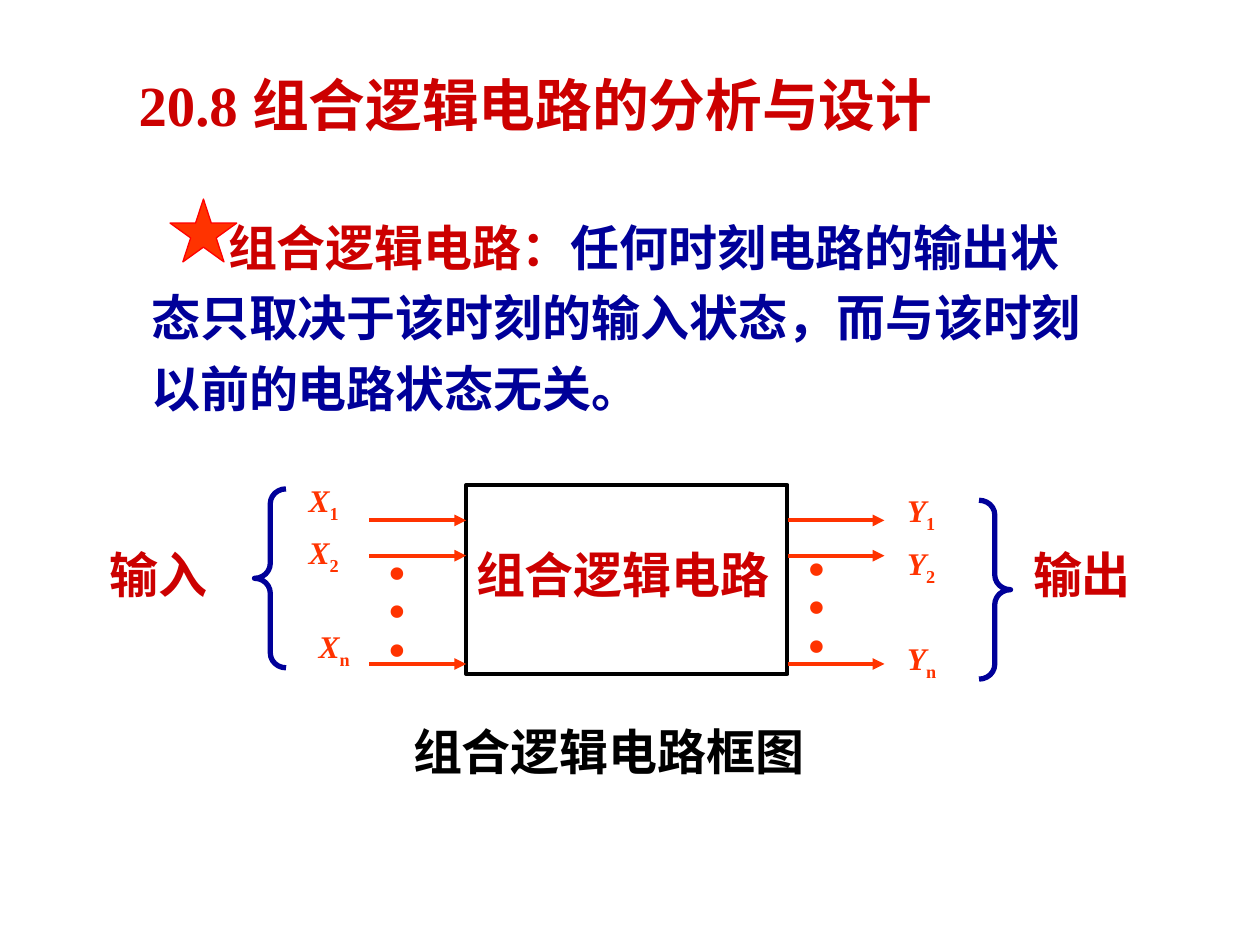
import pptx
import pptx.dml.color
import pptx.enum.dml
import pptx.enum.shapes
import pptx.enum.text
import pptx.oxml
import pptx.oxml.ns
import pptx.util

COLORS = {"red": "CC0000", "navy": "000099", "signal": "FF3300",
          "star_edge": "FF0000", "black": "000000"}
LATIN, CJK = "Times New Roman", "Noto Sans CJK JP"
SHAPES = pptx.enum.shapes.MSO_SHAPE
TEXT = pptx.enum.text

deck = pptx.Presentation()
deck.slide_width = pptx.util.Inches(10)
deck.slide_height = pptx.util.Inches(7.5)
# The slide is a grid of 100 columns by 75 rows.
COL, ROW = deck.slide_width / 100, deck.slide_height / 75
slide = deck.slides.add_slide(deck.slide_layouts[1])


def grid(col, row, cols, rows):
    return [round(col * COL), round(row * ROW), round(cols * COL), round(rows * ROW)]


def write(holder, pieces, size, wrap=False):
    """Fill a text holder with (text, colour, italic, baseline) pieces."""
    frame = holder.text_frame
    frame.word_wrap = wrap
    frame.auto_size = TEXT.MSO_AUTO_SIZE.NONE
    frame.vertical_anchor = TEXT.MSO_ANCHOR.TOP
    paragraph = frame.paragraphs[0]
    paragraph.alignment = TEXT.PP_ALIGN.LEFT
    paragraph.space_before = pptx.util.Pt(0)
    for words, color, italic, baseline in pieces:
        run = paragraph.add_run()
        run.text = words
        run.font.size = pptx.util.Pt(size)
        run.font.bold = True
        run.font.italic = italic
        run.font.color.rgb = pptx.dml.color.RGBColor.from_string(COLORS[color])
        run.font.name = LATIN
        east_asian = pptx.oxml.parse_xml(
            f'<a:ea {pptx.oxml.ns.nsdecls("a")} typeface="{CJK}"/>')
        run.font._element.find(pptx.oxml.ns.qn("a:latin")).addnext(east_asian)
        if baseline:
            run.font._element.set("baseline", str(baseline))
    return paragraph


# Heading and definition
heading, definition = slide.shapes.title, slide.placeholders[1]
heading.left, heading.top, heading.width, heading.height = grid(10, 5, 80, 5)
write(heading, [("20.8 ", "red", False, 0),
                ("组合逻辑电路的分析与设计", "red", False, 0)], 32.4, wrap=True)

definition.left, definition.top, definition.width, definition.height = grid(11, 15.8, 77.5, 17.8)
sentence = write(definition, [
    ("组合逻辑电路：", "red", False, 0),
    ("任何时刻电路的输出状态只取决于该时刻的输入状态，而与该时刻以前的电路状态无关。",
     "navy", False, 0)], 28, wrap=True)
sentence.line_spacing = 1.2
indents = sentence._p.get_or_add_pPr()
indents.set("marL", "0")
indents.set("indent", str(round(6.1 * COL)))
indents.append(pptx.oxml.parse_xml(f'<a:buNone {pptx.oxml.ns.nsdecls("a")}/>'))

# Star, circuit block and braces
outlines = [
    (SHAPES.STAR_5_POINT, (13.5, 15.8, 5.3, 5), "signal", "star_edge", 0.75),
    (SHAPES.RECTANGLE, (37, 38.5, 25.5, 15), None, "black", 2.25),
    (SHAPES.LEFT_BRACE, (20.2, 38.8, 2.5, 14.2), None, "navy", 3),
    (SHAPES.RIGHT_BRACE, (77.7, 39.7, 2.5, 14.2), None, "navy", 3),
]
for preset, place, fill, edge, weight in outlines:
    outline = slide.shapes.add_shape(preset, *grid(*place))
    outline.shadow.inherit = False
    if fill:
        outline.fill.solid()
        outline.fill.fore_color.rgb = pptx.dml.color.RGBColor.from_string(COLORS[fill])
    else:
        outline.fill.background()
    outline.line.color.rgb = pptx.dml.color.RGBColor.from_string(COLORS[edge])
    outline.line.width = pptx.util.Pt(weight)
    if preset in (SHAPES.LEFT_BRACE, SHAPES.RIGHT_BRACE):
        outline.adjustments[0] = 0.47

# Signal arrows into and out of the block
for start in (29.3, 62.5):
    for row in (41.3, 44.1, 52.7):
        left, top, length, _ = grid(start, row, 7.7, 0)
        arrow = slide.shapes.add_connector(
            pptx.enum.shapes.MSO_CONNECTOR.STRAIGHT, left, top, left + length, top)
        arrow.line.color.rgb = pptx.dml.color.RGBColor.from_string(COLORS["signal"])
        arrow.line.width = pptx.util.Pt(2.25)
        arrow.line._get_or_add_ln().append(pptx.oxml.parse_xml(
            f'<a:tailEnd {pptx.oxml.ns.nsdecls("a")} type="triangle"/>'))
        arrow._element.spPr.append(pptx.oxml.parse_xml(
            f'<a:effectLst {pptx.oxml.ns.nsdecls("a")}/>'))

# Signal names
signals = [("X", "1", 23.5, 37.7), ("X", "2", 23.5, 41.8), ("X", "n", 24.3, 49.3),
           ("Y", "1", 71, 38.5), ("Y", "2", 71, 42.7), ("Y", "n", 71, 50.2)]
for letter, index, col, row in signals:
    signal = slide.shapes.add_textbox(*grid(col, row, 5.5, 5))
    write(signal, [(letter, "signal", True, 0), (index, "signal", False, -25000)], 18)

# Vertical dots for the signals in between
for place in ((28.7, 44.5, 9.7, 8.3), (61, 45.2, 11.7, 8.3)):
    dots = slide.shapes.add_textbox(*grid(*place))
    dots.rotation = 90
    write(dots, [(". . .", "signal", False, 0)], 44, wrap=True)

# Labels and caption
labels = [("输入", "red", (7.7, 42.7, 9.8, 5.7)),
          ("组合逻辑电路", "red", (36.8, 42.7, 25.5, 5.7)),
          ("输出", "red", (81, 42.7, 9.8, 5.7)),
          ("组合逻辑电路框图", "black", (31.8, 56.8, 33.3, 5.7))]
for words, color, place in labels:
    label = slide.shapes.add_textbox(*grid(*place))
    write(label, [(words, color, False, 0)], 28)

deck.save("out.pptx")
